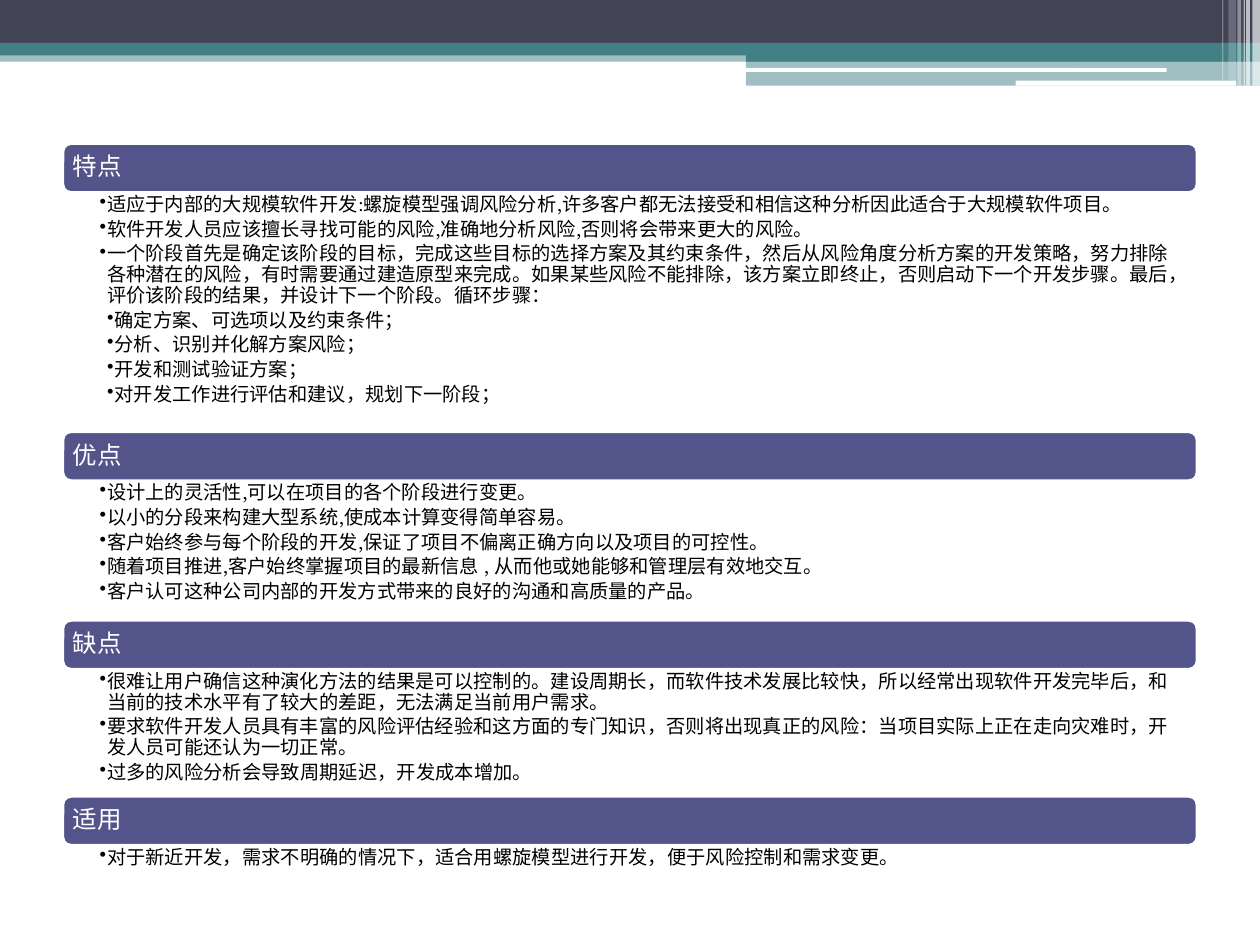
from dataclasses import dataclass

from lxml import etree
from pptx import Presentation
from pptx.dml.color import RGBColor
from pptx.enum.shapes import MSO_SHAPE
from pptx.enum.text import MSO_ANCHOR, PP_ALIGN
from pptx.oxml.ns import qn
from pptx.util import Inches, Pt

RECT, ROUND = MSO_SHAPE.RECTANGLE, MSO_SHAPE.ROUNDED_RECTANGLE
LEFT, TOP, MIDDLE = PP_ALIGN.LEFT, MSO_ANCHOR.TOP, MSO_ANCHOR.MIDDLE

WIDTH, HEIGHT = Inches(10), Inches(7.5)
COL, ROW = WIDTH / 100, HEIGHT / 75
FONT = "TeX Gyre Schola"
COLORS = {"dark": "424456", "teal": "438086", "purple": "53548A",
          "white": "FFFFFF", "black": "000000"}

# Section layout, in columns and rows
MARGIN, CONTENT_W, FIRST_TOP, HEADER_H = 5, 90, 11.4, 3.87
INDENT = Inches(0.06)
HEADER_FRAME = {"margin_left": INDENT, "margin_right": INDENT, "margin_top": INDENT,
                "margin_bottom": INDENT, "vertical_anchor": MIDDLE, "word_wrap": True}
BODY_FRAME = {"margin_left": Inches(0.29), "margin_right": Inches(0.11),
              "margin_top": Inches(0.02), "margin_bottom": Inches(0.02),
              "vertical_anchor": TOP, "word_wrap": True}
HEADER_PARAGRAPH = {"alignment": LEFT, "line_spacing": 0.9}
BODY_PARAGRAPH = {"alignment": LEFT, "line_spacing": 0.9, "space_after": Pt(2.2)}


@dataclass
class Bar:
    """A decorative bar: place in columns and rows, opacity in percent."""
    x: float
    y: float
    w: float
    h: float
    color: str
    opacity: int = 100
    shape: int = RECT


@dataclass
class Section:
    title: str
    body_h: float
    points: list[str]
    steps: tuple[str, ...] = ()


BARS = [
    Bar(0, 4, 100, 0.9, "teal", 50),
    Bar(0, 0, 100, 3.4, "dark"),
    Bar(0, 3.4, 100, 1, "teal"),
    Bar(59.2, 3.9, 40.8, 1, "teal"),
    Bar(59.2, 4.8, 40.8, 2, "teal", 50),
    Bar(59.1, 5.4, 33.5, 0.3, "white", shape=ROUND),
    Bar(80.6, 6.4, 17.5, 0.4, "white", shape=ROUND),
    Bar(99.4, 0, 0.6, 6.8, "white", 65),
    Bar(98.9, 0, 0.3, 6.8, "white", 65),
    Bar(98.7, 0, 0.1, 6.8, "white", 60),
    Bar(98.2, 0, 0.3, 6.8, "white", 40),
    Bar(97.5, 0, 0.6, 6.4, "white", 20),
    Bar(97, 0, 0.1, 6.4, "white", 30),
]

SECTIONS = [
    Section("特点", 19, [
        "适应于内部的大规模软件开发:螺旋模型强调风险分析,许多客户都无法接受和相信这种分析因此适合于大规模软件项目。",
        "软件开发人员应该擅长寻找可能的风险,准确地分析风险,否则将会带来更大的风险。",
        "一个阶段首先是确定该阶段的目标，完成这些目标的选择方案及其约束条件，然后从风险角度分析方案的开发策略，"
        "努力排除各种潜在的风险，有时需要通过建造原型来完成。如果某些风险不能排除，该方案立即终止，"
        "否则启动下一个开发步骤。最后，评价该阶段的结果，并设计下一个阶段。循环步骤：",
    ], (
        "确定方案、可选项以及约束条件；",
        "分析、识别并化解方案风险；",
        "开发和测试验证方案；",
        "对开发工作进行评估和建议，规划下一阶段；",
    )),
    Section("优点", 11.1, [
        "设计上的灵活性,可以在项目的各个阶段进行变更。",
        "以小的分段来构建大型系统,使成本计算变得简单容易。",
        "客户始终参与每个阶段的开发,保证了项目不偏离正确方向以及项目的可控性。",
        "随着项目推进,客户始终掌握项目的最新信息 , 从而他或她能够和管理层有效地交互。",
        "客户认可这种公司内部的开发方式带来的良好的沟通和高质量的产品。",
    ]),
    Section("缺点", 10.1, [
        "很难让用户确信这种演化方法的结果是可以控制的。建设周期长，而软件技术发展比较快，"
        "所以经常出现软件开发完毕后，和当前的技术水平有了较大的差距，无法满足当前用户需求。",
        "要求软件开发人员具有丰富的风险评估经验和这方面的专门知识，否则将出现真正的风险："
        "当项目实际上正在走向灾难时，开发人员可能还认为一切正常。",
        "过多的风险分析会导致周期延迟，开发成本增加。",
    ]),
    Section("适用", 2.5, [
        "对于新近开发，需求不明确的情况下，适合用螺旋模型进行开发，便于风险控制和需求变更。",
    ]),
]


def rgb(name: str) -> RGBColor:
    return RGBColor.from_string(COLORS[name])


def box(x: float, y: float, w: float, h: float) -> tuple[int, ...]:
    """Turn grid columns and rows into slide lengths."""
    return round(x * COL), round(y * ROW), round(w * COL), round(h * ROW)


def apply(target, values: dict) -> None:
    for name, value in values.items():
        setattr(target, name, value)


def add_filled(s, kind: int, place: tuple[int, ...], color: str):
    sp = s.shapes.add_shape(kind, *place)
    sp.shadow.inherit = False
    sp.fill.solid()
    sp.fill.fore_color.rgb = rgb(color)
    sp.line.fill.background()
    return sp


def draw_bar(s, bar: Bar) -> None:
    sp = add_filled(s, bar.shape, box(bar.x, bar.y, bar.w, bar.h), bar.color)
    if bar.opacity < 100:
        color = sp.fill._xPr.find(qn("a:solidFill"))[0]
        etree.SubElement(color, qn("a:alpha"), val=str(bar.opacity * 1000))


def write(p, text: str, size: int, color: str, values: dict) -> None:
    apply(p, values)
    r = p.add_run()
    r.text = text
    apply(r.font, {"name": FONT, "size": Pt(size)})
    r.font.color.rgb = rgb(color)


def add_bullet(p, level: int) -> None:
    p.level = level
    pPr = p._p.get_or_add_pPr()
    pPr.set("marL", str(INDENT * level))
    pPr.set("indent", str(-INDENT))
    etree.SubElement(pPr, qn("a:buChar"), char="•")


def draw_section(s, section: Section, top: float) -> float:
    """Draw the header and its bullets; return the row where the next section starts."""
    sp = add_filled(s, ROUND, box(MARGIN, top, CONTENT_W, HEADER_H), "purple")
    sp.line.color.rgb = rgb("white")
    sp.line.width = Pt(1.5)
    apply(sp.text_frame, HEADER_FRAME)
    write(sp.text_frame.paragraphs[0], section.title, 14, "white", HEADER_PARAGRAPH)

    top += HEADER_H
    tf = s.shapes.add_textbox(*box(MARGIN, top, CONTENT_W, section.body_h)).text_frame
    apply(tf, BODY_FRAME)
    items = [(t, 1) for t in section.points] + [(t, 2) for t in section.steps]
    for i, (text, level) in enumerate(items):
        p = tf.add_paragraph() if i else tf.paragraphs[0]
        write(p, text, 11, "black", BODY_PARAGRAPH)
        add_bullet(p, level)
    return top + section.body_h


def main() -> None:
    prs = Presentation()
    prs.slide_width, prs.slide_height = WIDTH, HEIGHT
    s = prs.slides.add_slide(prs.slide_layouts[6])
    for bar in BARS:
        draw_bar(s, bar)
    top = FIRST_TOP
    for section in SECTIONS:
        top = draw_section(s, section, top)
    prs.save("out.pptx")


if __name__ == "__main__":
    main()
